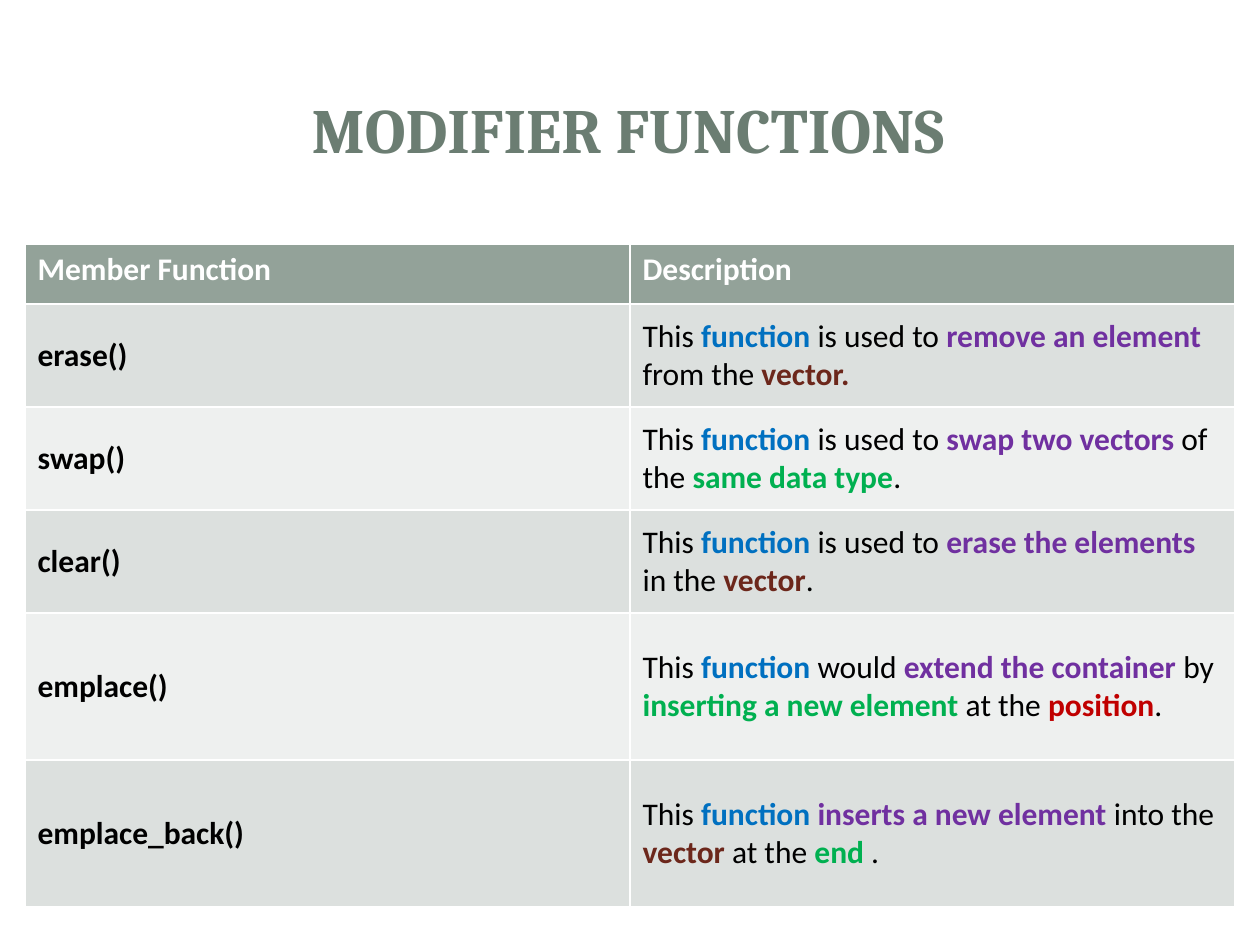
"""Build a slide with a table of the modifier functions of a vector."""
from lxml.etree import SubElement
from pptx import Presentation
from pptx.dml.color import RGBColor
from pptx.enum.shapes import MSO_SHAPE
from pptx.enum.text import MSO_ANCHOR, PP_ALIGN
from pptx.oxml.ns import qn
from pptx.util import Pt

BLACK, WHITE, BLUE, PURPLE = "000000", "FFFFFF", "0070C0", "7030A0"
GREEN, BROWN, RED, SAGE = "00B050", "6C271B", "C00000", "6B7D72"
HEAD, DARK, LIGHT = "93A299", "DCE0DE", "EEF0EF"
BODY = {"name": "Calibri", "size": Pt(18)}
TITLE = {"name": "Cambria", "size": Pt(36)}


def px(count):
    return round(count * 914400 / 126)


def write(para, text, color, bold, style):
    run = para.add_run()
    run.text = text
    for key, value in {**style, "bold": bold}.items():
        setattr(run.font, key, value)
    run.font.color.rgb = RGBColor.from_string(color)


panels = [
    (MSO_SHAPE.ROUNDED_RECTANGLE, (13, 14, 1235, 918), 100),
    (MSO_SHAPE.RECTANGLE, (38, 38, 1184, 183), 83),
    (MSO_SHAPE.RECTANGLE, (52, 52, 1155, 154), 100),
]
rows = [
    (60, [("Member Function", WHITE)], [("Description", WHITE)]),
    (103, [("erase()", BLACK)],
     [("This ", BLACK), ("function", BLUE), (" is used to ", BLACK),
      ("remove an element ", PURPLE), ("from the ", BLACK), ("vector.", BROWN)]),
    (103, [("swap()", BLACK)],
     [("This ", BLACK), ("function ", BLUE), ("is used to ", BLACK),
      ("swap two vectors ", PURPLE), ("of the ", BLACK),
      ("same data type", GREEN), (".", BLACK)]),
    (103, [("clear()", BLACK)],
     [("This ", BLACK), ("function", BLUE), (" is used to ", BLACK),
      ("erase the elements ", PURPLE), ("in the ", BLACK),
      ("vector", BROWN), (".", BLACK)]),
    (147, [("emplace()", BLACK)],
     [("This ", BLACK), ("function", BLUE), (" would ", BLACK),
      ("extend the container ", PURPLE), ("by ", BLACK),
      ("inserting a new element ", GREEN), ("at the ", BLACK),
      ("position", RED), (".", BLACK)]),
    (147, [("emplace_back()", BLACK)],
     [("This ", BLACK), ("function ", BLUE), ("inserts a new element ", PURPLE),
      ("into the ", BLACK), ("vector", BROWN), (" at the ", BLACK),
      ("end", GREEN), (" .", BLACK)]),
]

deck = Presentation()
deck.slide_width, deck.slide_height = px(1260), px(945)
slide = deck.slides.add_slide(deck.slide_layouts[6])

for kind, place, alpha in panels:
    panel = slide.shapes.add_shape(kind, *map(px, place))
    panel.shadow.inherit = False
    panel.fill.solid()
    panel.fill.fore_color.rgb = RGBColor.from_string(WHITE)
    panel.line.fill.background()
    if kind == MSO_SHAPE.ROUNDED_RECTANGLE:
        panel.adjustments[0] = 0.02
    if alpha < 100:
        color = panel.fill._xPr.find(f".//{qn('a:srgbClr')}")
        SubElement(color, qn("a:alpha"), val=str(alpha * 1000))

frame = slide.shapes.add_textbox(px(59), px(56), px(1138), px(144)).text_frame
for key, value in {"word_wrap": True, "vertical_anchor": MSO_ANCHOR.MIDDLE}.items():
    setattr(frame, key, value)
para = frame.paragraphs[0]
para.alignment = PP_ALIGN.CENTER
write(para, "MODIFIER FUNCTIONS", SAGE, True, TITLE)

total = sum(row[0] for row in rows)
table = slide.shapes.add_table(
    len(rows), 2, px(25), px(244), px(1210), px(total)).table
for col in table.columns:
    col.width = px(605)

for i, (height, *cells) in enumerate(rows):
    table.rows[i].height = px(height)
    for j, parts in enumerate(cells):
        cell = table.cell(i, j)
        cell.fill.solid()
        shade = HEAD if i == 0 else (LIGHT, DARK)[i % 2]
        cell.fill.fore_color.rgb = RGBColor.from_string(shade)
        cell.vertical_anchor = MSO_ANCHOR.MIDDLE if i else MSO_ANCHOR.TOP
        for text, color in parts:
            write(cell.text_frame.paragraphs[0], text, color,
                  j == 0 or color != BLACK, BODY)

deck.save("out.pptx")
